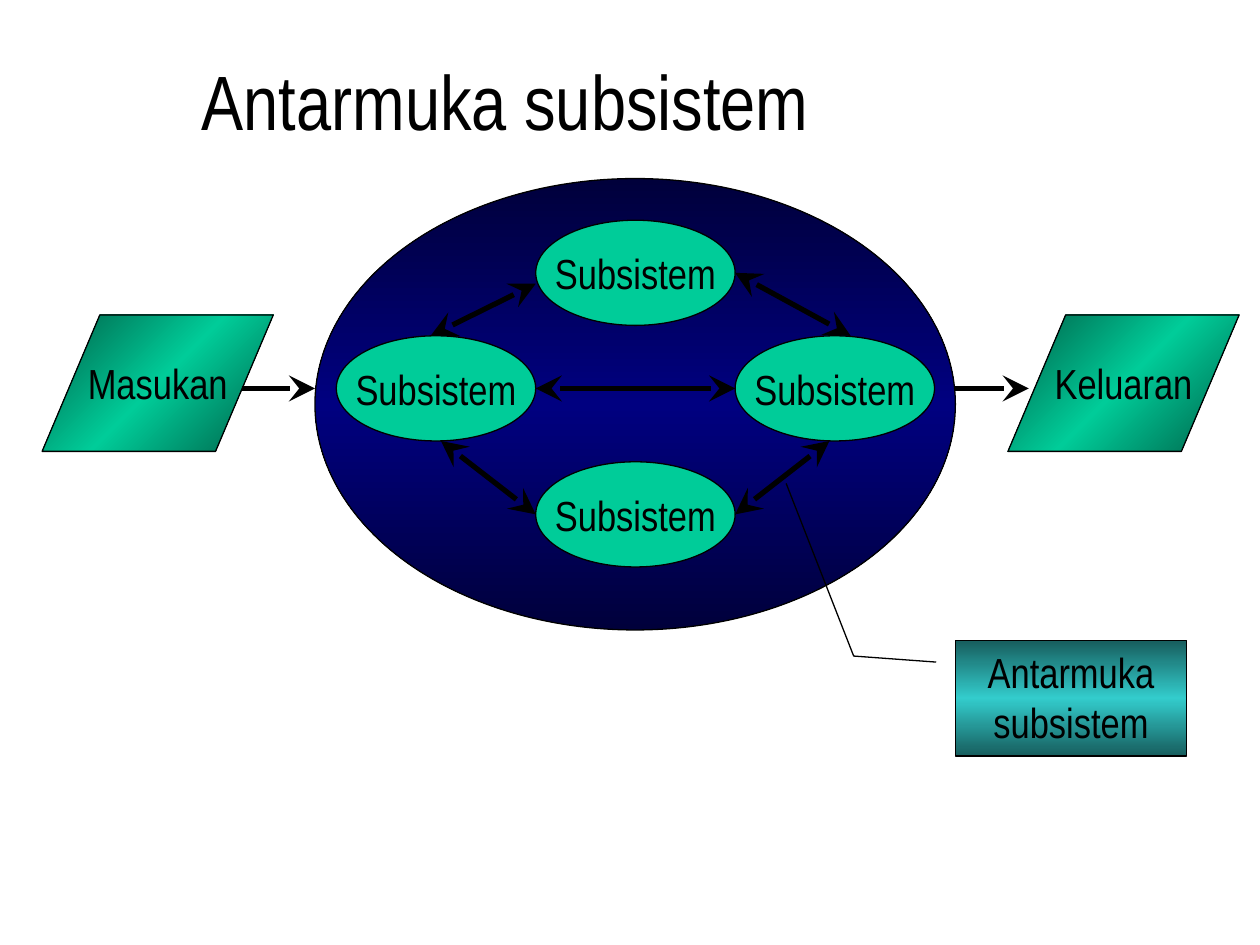
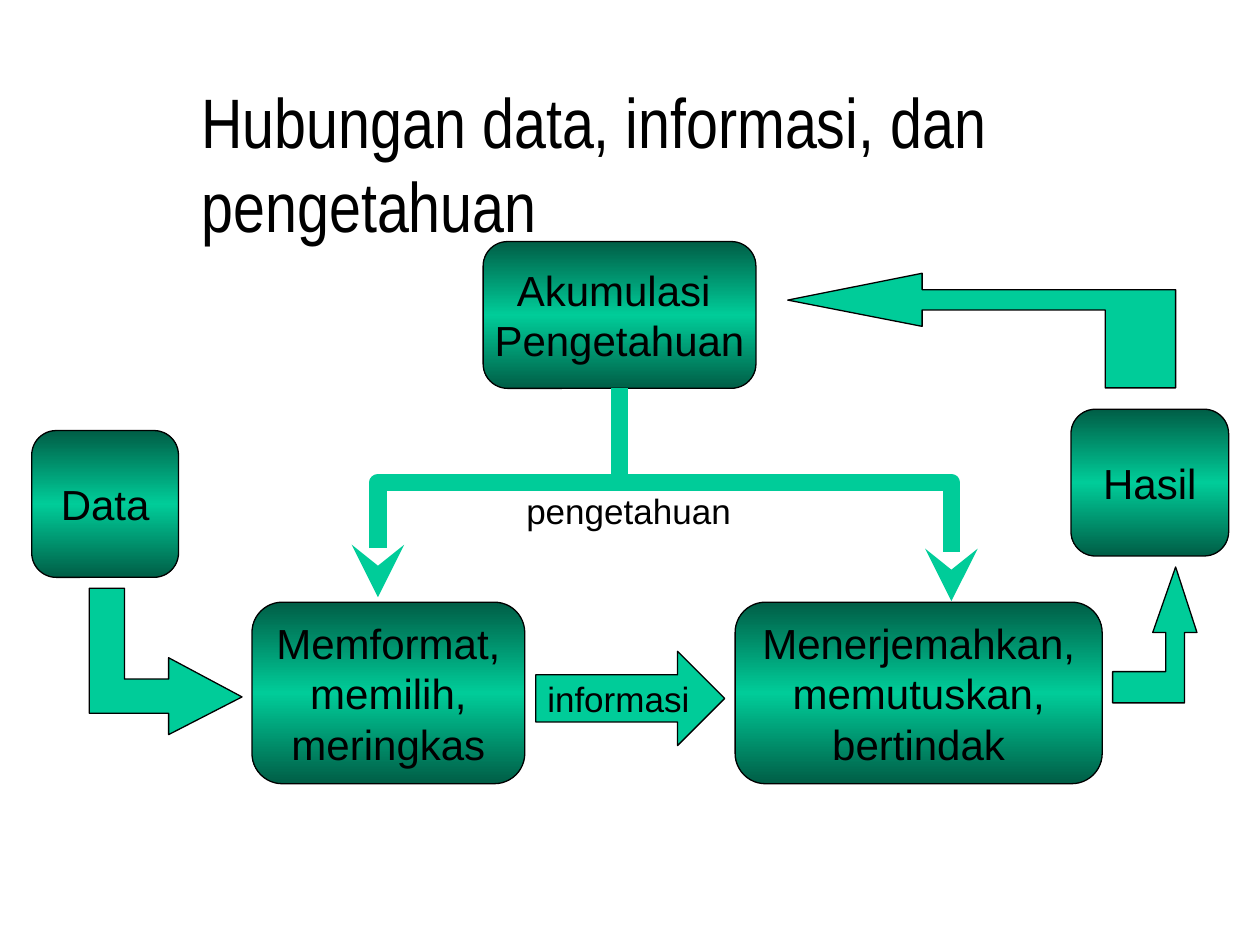
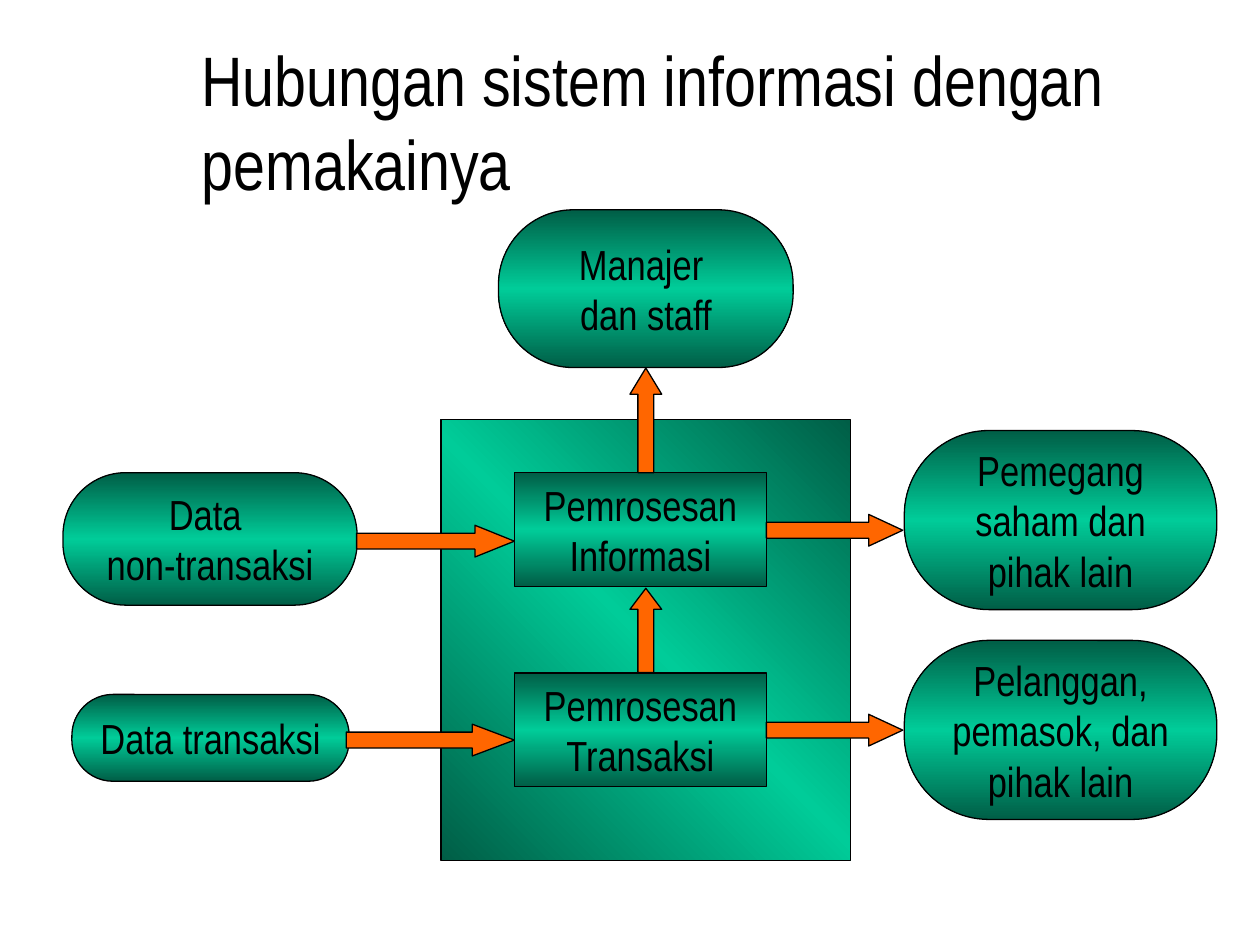
from copy import deepcopy

from lxml import etree
from pptx import Presentation
from pptx import util as u
from pptx.dml.color import RGBColor
from pptx.enum import shapes, text
from pptx.oxml import ns

Cm, Pt = u.Cm, u.Pt
KIND = shapes.MSO_SHAPE
ALIGN, ANCHOR, FIT = text.PP_ALIGN, text.MSO_ANCHOR, text.MSO_AUTO_SIZE

COLORS = {
    "ink": "000000", "green": "00CC99", "dark_green": "005E46",
    "navy": "000080", "dark_navy": "00003B",
    "teal": "33CCCC", "dark_teal": "175E5E", "orange": "FF6600",
}
# Gradients run edge, middle, edge
GREEN = ("dark_green", "green")
NAVY = ("dark_navy", "navy")
TEAL = ("dark_teal", "teal")
NARROW, WIDE = "Arial Narrow", "Arial"
TITLE_LEFT, TITLE_WIDTH, TITLE_HEIGHT = 3.81, 20.52, 3.18

# Slide 1: boxes are left, top, width, height in cm
SYSTEM_BOX = (6.35, 3.6, 12.91, 9.1)
SUBSYSTEM_SIZE = (4.02, 2.12)
SYSTEM_CENTER = 12.81
FLOW_Y = 7.83
# Column step from the centre, middle height
SUBSYSTEMS = [(0, 5.5), (0, 10.37), (-1, FLOW_Y), (1, FLOW_Y)]
INTERFACES = [
    (8.89, 8.89, 10.8, 10.37),
    (16.72, 8.89, 14.82, 10.37),
    (10.8, 5.72, 8.68, 6.77),
    (14.82, 5.5, 17.15, 6.77),
    (10.8, FLOW_Y, 14.82, FLOW_Y),
]
ENDPOINTS = [("Masukan", 0.85), ("Keluaran", 20.32)]
FLOWS = [(4.87, FLOW_Y, 6.35, FLOW_Y), (19.26, FLOW_Y, 20.74, FLOW_Y)]
CALLOUT_BOX = (19.26, 12.91, 4.66, 2.33)
CALLOUT_LEADER = (0.188, -0.083, 0.136, -0.44, -1.358, -0.732)

# Slide 2
KNOWLEDGE = ("Akumulasi \nPengetahuan", (9.74, 4.87, 5.5, 2.96))
STATES = [
    ("Data", (0.64, 8.68, 2.96, 2.96)),
    ("Hasil", (21.59, 8.25, 3.18, 2.96)),
]
STEPS = [
    ("Memformat, memilih, meringkas", (5.08, 12.14, 5.5, 3.66)),
    ("Menerjemahkan, memutuskan, bertindak", (14.82, 12.14, 7.4, 3.66)),
]
INFORMATION_BOX = (10.8, 13.13, 3.81, 1.9)
BENT_ARROWS = [
    [(22.43, 13.54), (23.5, 13.54), (23.5, 12.75), (23.24, 12.75), (23.7, 11.43),
     (24.13, 12.75), (23.88, 12.75), (23.88, 14.17), (22.43, 14.17)],
    [(22.28, 7.82), (22.28, 6.25), (18.59, 6.25), (18.59, 6.58), (15.88, 6.05),
     (18.59, 5.51), (18.59, 5.84), (23.7, 5.84), (23.7, 7.82)],
    [(2.51, 11.86), (2.51, 13.69), (3.4, 13.69), (3.4, 13.26), (4.88, 14.05),
     (3.4, 14.81), (3.4, 14.38), (1.8, 14.38), (1.8, 11.86)],
]
BRANCH = [(7.62, 12.04), (7.62, 9.73), (19.18, 9.73), (19.18, 12.12)]
STEM = (12.49, 7.83, 12.49, 9.6)
KNOWLEDGE_LABEL_BOX = (10.36, 9.74, 4.9, 1.12)

# Slide 3
PANEL_BOX = (8.89, 8.46, 8.26, 8.89)
PARTIES = [
    ("Manajer \ndan staff", (10.05, 4.23, 5.94, 3.18)),
    ("Data \nnon-transaksi", (1.27, 9.53, 5.93, 2.67)),
    ("Data transaksi", (1.45, 14, 5.59, 1.75)),
    ("Pemegang saham dan pihak lain", (18.23, 8.68, 6.3, 3.61)),
    ("Pelanggan, pemasok, dan pihak lain", (18.23, 12.91, 6.3, 3.61)),
]
PROCESSES = [
    ("Pemrosesan Informasi", (10.37, 9.53, 5.08, 2.29)),
    ("Pemrosesan Transaksi", (10.37, 13.57, 5.08, 2.29)),
]
ARROW_THICKNESS = 0.64
UP_ARROWS = [(12.7, 7.42, 2.11), (12.7, 11.86, 1.7)]  # left, top, length
RIGHT_ARROWS = [(7.19, 10.59, 3.18), (6.98, 14.6, 3.39),
                (15.45, 10.37, 2.75), (15.45, 14.4, 2.75)]


def rgb(name):
    return RGBColor.from_string(COLORS[name])


def cm(values):
    return [Cm(value) for value in values]


def set_format(target, values):
    for name, value in values.items():
        setattr(target, name, value)


def write(shape, words, size=24, font=NARROW, align=ALIGN.CENTER,
          anchor=ANCHOR.MIDDLE, wrap=False):
    frame = shape.text_frame
    frame.text = words
    set_format(frame, {"word_wrap": wrap, "auto_size": FIT.NONE, "vertical_anchor": anchor})
    for paragraph in frame.paragraphs:
        paragraph.alignment = align
        set_format(paragraph.font, {"size": Pt(size), "name": font})
        paragraph.font.color.rgb = rgb("ink")


def paint(shape, fill, angle=90):
    """Fill with a colour name, or with an (edge, middle) gradient turned clockwise."""
    if isinstance(fill, str):
        shape.fill.solid()
        shape.fill.fore_color.rgb = rgb(fill)
        return
    edge, middle = fill
    shape.fill.gradient()
    shape.fill.gradient_angle = 360 - angle
    stop_list = shape._element.spPr.find(".//" + ns.qn("a:gsLst"))
    stop_list.append(deepcopy(stop_list[0]))
    for stop, name, position in zip(shape.fill.gradient_stops, (edge, middle, edge), (0, 0.5, 1)):
        stop.color.rgb = rgb(name)
        stop.position = position


def outline(shape, color="ink", width=0.75):
    shape.line.color.rgb = rgb(color)
    shape.line.width = Pt(width)


def add_heads(shape, ends, size):
    for end in ends:
        etree.SubElement(shape.line._get_or_add_ln(), ns.qn("a:" + end),
                         type="stealth", w=size, len=size)


def add_block(slide, kind, box, fill, words="", angle=90, adjust=(), **style):
    block = slide.shapes.add_shape(kind, *cm(box))
    for index, value in enumerate(adjust):
        block.adjustments[index] = value
    block.shadow.inherit = False
    paint(block, fill, angle)
    outline(block)
    if words:
        write(block, words, **style)
    return block


def add_line(slide, ends, color="ink", width=3, heads=()):
    line = slide.shapes.add_connector(shapes.MSO_CONNECTOR.STRAIGHT, *cm(ends))
    outline(line, color, width)
    add_heads(line, heads, "lg")
    etree.SubElement(line._element.spPr, ns.qn("a:effectLst"))
    return line


def add_outline(slide, points, close=True):
    start, *rest = [cm(point) for point in points]
    builder = slide.shapes.build_freeform(*start)
    builder.add_line_segments(rest, close=close)
    figure = builder.convert_to_shape()
    figure.shadow.inherit = False
    return figure


def add_slide(prs, title, top, size=40):
    slide = prs.slides.add_slide(prs.slide_layouts.get_by_name("Title Only"))
    heading = slide.shapes.title
    box = cm((TITLE_LEFT, top, TITLE_WIDTH, TITLE_HEIGHT))
    set_format(heading, dict(zip(("left", "top", "width", "height"), box)))
    write(heading, title, size=size, align=ALIGN.LEFT, wrap=True)
    return slide


def add_interface_slide(prs):
    slide = add_slide(prs, "Antarmuka subsistem", 0.42, 44)
    add_block(slide, KIND.OVAL, SYSTEM_BOX, NAVY)
    width, height = SUBSYSTEM_SIZE
    for step, middle in SUBSYSTEMS:
        left = SYSTEM_CENTER + (step - 0.5) * width
        add_block(slide, KIND.OVAL, (left, middle - height / 2, width, height),
                  "green", "Subsistem")
    for ends in INTERFACES:
        add_line(slide, ends, heads=("headEnd", "tailEnd"))
    for name, left in ENDPOINTS:
        add_block(slide, KIND.PARALLELOGRAM, (left, 6.35, 4.66, 2.75), GREEN, name,
                  angle=45, adjust=[0.423])
    for ends in FLOWS:
        add_line(slide, ends, heads=("tailEnd",))
    add_block(slide, KIND.LINE_CALLOUT_2, CALLOUT_BOX, TEAL, "Antarmuka subsistem",
              adjust=CALLOUT_LEADER, anchor=ANCHOR.TOP, wrap=True)


def add_knowledge_slide(prs):
    slide = add_slide(prs, "Hubungan data, informasi, dan pengetahuan", 1.69)

    def add_rounded(words, box, wrap=False):
        return add_block(slide, KIND.ROUNDED_RECTANGLE, box, GREEN, words,
                         adjust=[0.167], font=WIDE, wrap=wrap)

    knowledge = add_rounded(*KNOWLEDGE)
    for words, box in STEPS:
        add_rounded(words, box, wrap=True)
    for words, box in STATES:
        add_rounded(words, box)
    for points in BENT_ARROWS:
        arrow = add_outline(slide, points)
        paint(arrow, "green")
        outline(arrow)
    add_block(slide, KIND.RIGHT_ARROW, INFORMATION_BOX, "green", "informasi",
              size=20, font=WIDE)
    stem = add_line(slide, STEM, "green", 10)
    stem.begin_connect(knowledge, 2)
    branch = add_outline(slide, BRANCH, close=False)
    branch.fill.background()
    outline(branch, "green", 10)
    add_heads(branch, ("headEnd", "tailEnd"), "med")
    label = slide.shapes.add_textbox(*cm(KNOWLEDGE_LABEL_BOX))
    write(label, "pengetahuan", size=20, font=WIDE, align=ALIGN.LEFT,
          anchor=ANCHOR.TOP, wrap=True)


def add_users_slide(prs):
    slide = add_slide(prs, "Hubungan sistem informasi dengan pemakainya", 0.84)
    add_block(slide, KIND.RECTANGLE, PANEL_BOX, GREEN, angle=135)
    for words, box in PARTIES:
        add_block(slide, KIND.ROUNDED_RECTANGLE, box, GREEN, words,
                  adjust=[0.473], wrap=True)
    for words, box in PROCESSES:
        add_block(slide, KIND.RECTANGLE, box, GREEN, words, wrap=True)
    for kind, arrows in ((KIND.UP_ARROW, UP_ARROWS), (KIND.RIGHT_ARROW, RIGHT_ARROWS)):
        for left, top, length in arrows:
            size = (length, ARROW_THICKNESS)
            if kind == KIND.UP_ARROW:
                size = size[::-1]
            # The head takes a quarter of the length
            add_block(slide, kind, (left, top, *size), "orange",
                      adjust=[0.5, length / ARROW_THICKNESS / 4])


def main():
    prs = Presentation()
    set_format(prs, {"slide_width": Cm(25.4), "slide_height": Cm(19.05)})
    add_interface_slide(prs)
    add_knowledge_slide(prs)
    add_users_slide(prs)
    prs.save("out.pptx")


if __name__ == "__main__":
    main()
